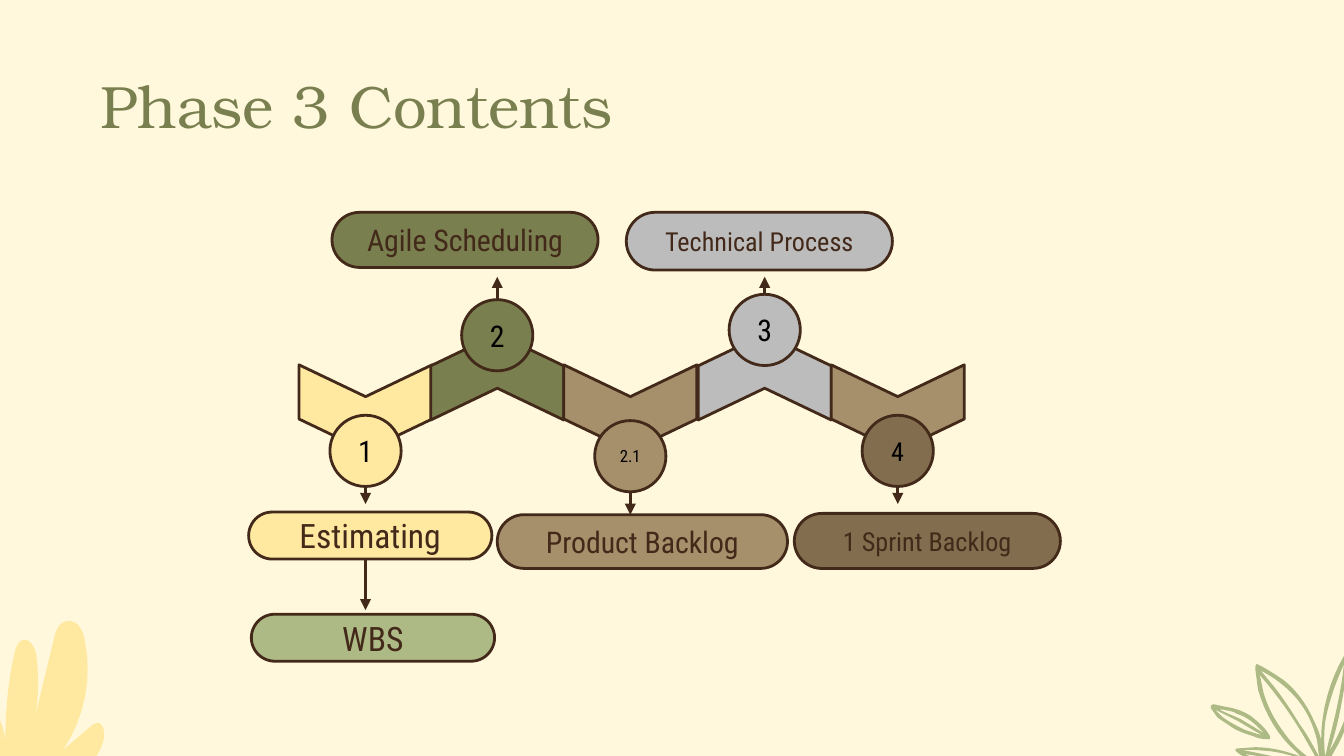
"""Build the Phase 3 contents slide with its zigzag of numbered steps."""
from lxml import etree
from pptx import Presentation
from pptx.dml.color import RGBColor as RGB
from pptx.enum.shapes import MSO_CONNECTOR as Conn, MSO_SHAPE as Kind
from pptx.enum.text import MSO_ANCHOR as Anchor, PP_ALIGN as Align
from pptx.oxml.ns import qn
from pptx.util import Inches, Pt

SANS, SERIF = "Roboto Condensed", "TeX Gyre Bonum"
DARK, OLIVE, SAGE, TAN = "422919", "797F4F", "AEBA85", "A5906B"
GOLD, GREY, BROWN = "FFE9A1", "BCBCBC", "826D4E"

STEPS = [
    ("1", 16, 2.72, GOLD, GOLD, False, 3.09, 3.75),
    ("2", 16, 3.7, OLIVE, OLIVE, True, 2.23, 2.06),
    ("2.1", 9, 4.69, TAN, TAN, False, 3.13, 3.83),
    ("3", 16, 5.69, GREY, GREY, True, 2.19, 2.06),
    ("4", 14, 6.68, TAN, BROWN, False, 3.09, 3.75),
]
LABELS = [
    ("WBS", 18, SAGE, (1.87, 4.57, 1.81, 0.35)),
    ("Product Backlog", 16, TAN, (3.7, 3.83, 2.16, 0.4)),
    ("Technical Process", 14, GREY, (4.66, 1.58, 1.98, 0.43)),
    ("Estimating", 18, GOLD, (1.85, 3.81, 1.81, 0.35)),
    ("Agile Scheduling", 16, OLIVE, (2.47, 1.58, 1.98, 0.41)),
    ("1 Sprint Backlog", 14, BROWN, (5.91, 3.82, 1.98, 0.41)),
]
BALL, BAND_W, BAND_H = 0.53, 0.64, 0.99

PLANT = [[
    (0.51, 4.62), (0.58, 4.62, 0.62, 4.69, 0.63, 4.76),
    (0.69, 5.04, 0.63, 5.34, 0.47, 5.58), (0.68, 5.4),
    (0.69, 5.39, 0.71, 5.38, 0.73, 5.38), (0.75, 5.38, 0.76, 5.4, 0.77, 5.42),
    (0.79, 5.5, 0.75, 5.58, 0.7, 5.65), (0.63, 5.74), (-0.09, 5.74),
    (-0.09, 5.26), (-0.03, 5.31), (0.01, 5.36, 0.03, 5.44, 0.04, 5.51),
    (0.04, 5.29, 0.06, 5.07, 0.11, 4.85), (0.12, 4.82, 0.13, 4.77, 0.18, 4.76),
    (0.23, 4.76, 0.26, 4.82, 0.27, 4.87), (0.29, 5.03, 0.29, 5.19, 0.26, 5.34),
    (0.4, 4.76), (0.41, 4.7, 0.44, 4.62, 0.51, 4.62),
]]
LEAVES = [
    [(9.67, 5.71), (9.57, 5.71), (9.49, 5.7, 9.4, 5.67, 9.33, 5.64),
     (9.26, 5.61), (9.44, 5.64), (9.52, 5.66, 9.6, 5.68, 9.68, 5.69),
     (9.75, 5.71)],
    [(9.75, 5.68), (9.58, 5.65), (9.34, 5.6), (9.24, 5.58), (9.33, 5.58),
     (9.45, 5.59), (9.53, 5.6, 9.61, 5.62, 9.69, 5.65)],
    [(9.82, 5.69), (9.72, 5.63, 9.63, 5.56, 9.56, 5.46),
     (9.49, 5.37, 9.43, 5.26, 9.4, 5.15), (9.38, 5.05), (9.37, 5.02),
     (9.51, 5.18, 9.63, 5.35, 9.73, 5.53)],
    [(9.82, 5.64), (9.77, 5.55, 9.73, 5.47, 9.67, 5.39),
     (9.61, 5.29, 9.55, 5.2, 9.48, 5.11), (9.38, 4.99),
     (9.48, 5.04, 9.57, 5.11, 9.64, 5.19),
     (9.72, 5.28, 9.77, 5.39, 9.8, 5.51), (9.81, 5.6)],
    [(9.86, 5.63), (9.85, 5.55, 9.85, 5.46, 9.86, 5.37),
     (9.88, 5.26, 9.91, 5.16, 9.95, 5.06), (10, 4.94),
     (9.98, 5.13, 9.94, 5.31, 9.89, 5.5)],
    [(9.89, 5.59), (9.95, 5.42, 9.98, 5.25, 10.01, 5.07), (10.03, 4.94),
     (10.05, 5.05), (10.06, 5.1, 10.06, 5.15, 10.05, 5.2),
     (10.03, 5.31, 9.98, 5.42, 9.93, 5.52)],
    [(9.66, 5.74), (9.75, 5.73), (9.84, 5.72), (9.86, 5.7), (9.9, 5.64),
     (9.95, 5.55), (9.98, 5.5, 10, 5.44, 10.03, 5.38),
     (10.07, 5.28, 10.09, 5.17, 10.08, 5.06),
     (10.08, 5, 10.07, 4.94, 10.04, 4.88), (10.02, 4.87), (10, 4.88),
     (9.89, 5.07, 9.83, 5.29, 9.83, 5.51), (9.82, 5.46, 9.8, 5.41, 9.77, 5.35),
     (9.72, 5.24, 9.65, 5.14, 9.55, 5.06), (9.49, 5.02, 9.43, 4.98, 9.37, 4.95),
     (9.35, 4.94), (9.34, 4.96), (9.34, 4.98), (9.36, 5.13),
     (9.41, 5.31, 9.51, 5.48, 9.65, 5.6), (9.68, 5.63),
     (9.57, 5.59, 9.46, 5.56, 9.34, 5.56), (9.2, 5.57), (9.19, 5.58),
     (9.2, 5.6, 9.26, 5.64, 9.3, 5.65), (9.41, 5.71, 9.54, 5.74, 9.66, 5.74)],
]
SPRIG = [
    [(9.39, 5.47), (9.35, 5.46), (9.26, 5.43), (9.2, 5.4, 9.14, 5.37, 9.09, 5.33),
     (9.04, 5.28), (9.22, 5.37), (9.32, 5.43)],
    [(9.41, 5.46), (9.33, 5.41), (9.23, 5.35), (9.07, 5.28), (9.1, 5.28),
     (9.14, 5.29, 9.17, 5.29, 9.2, 5.31), (9.26, 5.33, 9.31, 5.36, 9.36, 5.41)],
    [(9.45, 5.5), (9.45, 5.48), (9.42, 5.42, 9.36, 5.37, 9.31, 5.33),
     (9.25, 5.29, 9.19, 5.27, 9.12, 5.26), (9.03, 5.24), (9.01, 5.25),
     (9.01, 5.27), (9.06, 5.34), (9.09, 5.36, 9.12, 5.38, 9.15, 5.4),
     (9.2, 5.44, 9.27, 5.46, 9.33, 5.48), (9.37, 5.5, 9.41, 5.5, 9.45, 5.5)],
]


def hue(text):
    return RGB.from_string(text)


def trace(parts, count=8):
    dots = [parts[0]]
    for part in parts[1:]:
        if len(part) == 2:
            dots.append(part)
            continue
        ends = [dots[-1], part[:2], part[2:4], part[4:]]
        for i in range(1, count + 1):
            t = i / count
            mix = ((1 - t) ** 3, 3 * t * (1 - t) ** 2, 3 * t * t * (1 - t), t ** 3)
            dots.append(tuple(sum(m * e[a] for m, e in zip(mix, ends)) for a in (0, 1)))
    return [(Inches(x), Inches(y)) for x, y in dots]


def paint(shape, fill, line=None):
    shape.shadow.inherit = False
    shape.fill.solid()
    shape.fill.fore_color.rgb = hue(fill)
    if line:
        shape.line.color.rgb = hue(line)
        shape.line.width = Pt(1.5)
    else:
        shape.line.fill.background()


def grow(paths, fill):
    first, *rest = [trace(parts) for parts in paths]
    pen = slide.shapes.build_freeform(*first[0], scale=1.0)
    pen.add_line_segments(first[1:], close=True)
    for dots in rest:
        pen.move_to(*dots[0])
        pen.add_line_segments(dots[1:], close=True)
    paint(pen.convert_to_shape(), fill)


def write(shape, text, size, color=DARK, font=SANS, align=Align.CENTER,
          anchor=Anchor.MIDDLE, wrap=True):
    frame = shape.text_frame
    frame.word_wrap, frame.vertical_anchor = wrap, anchor
    frame.margin_left = frame.margin_right = Inches(0.1)
    frame.margin_top = frame.margin_bottom = Inches(0.1)
    para = frame.paragraphs[0]
    para.alignment = align
    run = para.add_run()
    run.text = text
    run.font.size, run.font.name = Pt(size), font
    run.font.color.rgb = hue(color)


def block(kind, box, fill):
    shape = slide.shapes.add_shape(kind, *map(Inches, box))
    paint(shape, fill, DARK)
    return shape


def arrow(x, top, end):
    link = slide.shapes.add_connector(Conn.STRAIGHT, *map(Inches, (x, top, x, end)))
    link.line.color.rgb = hue(DARK)
    link.line.width = Pt(1.5)
    props = link._element.spPr
    etree.SubElement(props.find(qn("a:ln")), qn("a:tailEnd"), type="triangle")
    etree.SubElement(props, qn("a:effectLst"))


deck = Presentation()
deck.slide_width, deck.slide_height = Inches(10), Inches(10) * 9 // 16
slide = deck.slides.add_slide(deck.slide_layouts[6])
slide.background.fill.solid()
slide.background.fill.fore_color.rgb = hue("FFF8DC")

for paths, fill in ((PLANT, GOLD), (LEAVES, SAGE), (SPRIG, SAGE)):
    grow(paths, fill)

title = slide.shapes.add_textbox(*map(Inches, (0.65, 0.41, 8.43, 0.65)))
write(title, "Phase 3 Contents", 32, color=OLIVE, font=SERIF,
      align=Align.LEFT, anchor=Anchor.TOP)

for name, size, x, fill, tint, up, top, end in STEPS:
    box = (x - BAND_W / 2, 2.31 if up else 2.54, BAND_W, BAND_H)
    band = block(Kind.CHEVRON, box, fill)
    band.adjustments[0] = 0.37
    band.rotation = 270 if up else 90
    ball = block(Kind.OVAL, (x - BALL / 2, top, BALL, BALL), tint)
    write(ball, name, size, color="000000", wrap=False)

arrow(2.72, 4.16, 4.54)
for name, size, x, fill, tint, up, top, end in STEPS:
    arrow(x, top if up else top + BALL, end)

for text, size, fill, box in LABELS:
    pill = block(Kind.ROUNDED_RECTANGLE, box, fill)
    pill.adjustments[0] = 0.5
    write(pill, text, size)

deck.save("out.pptx")
